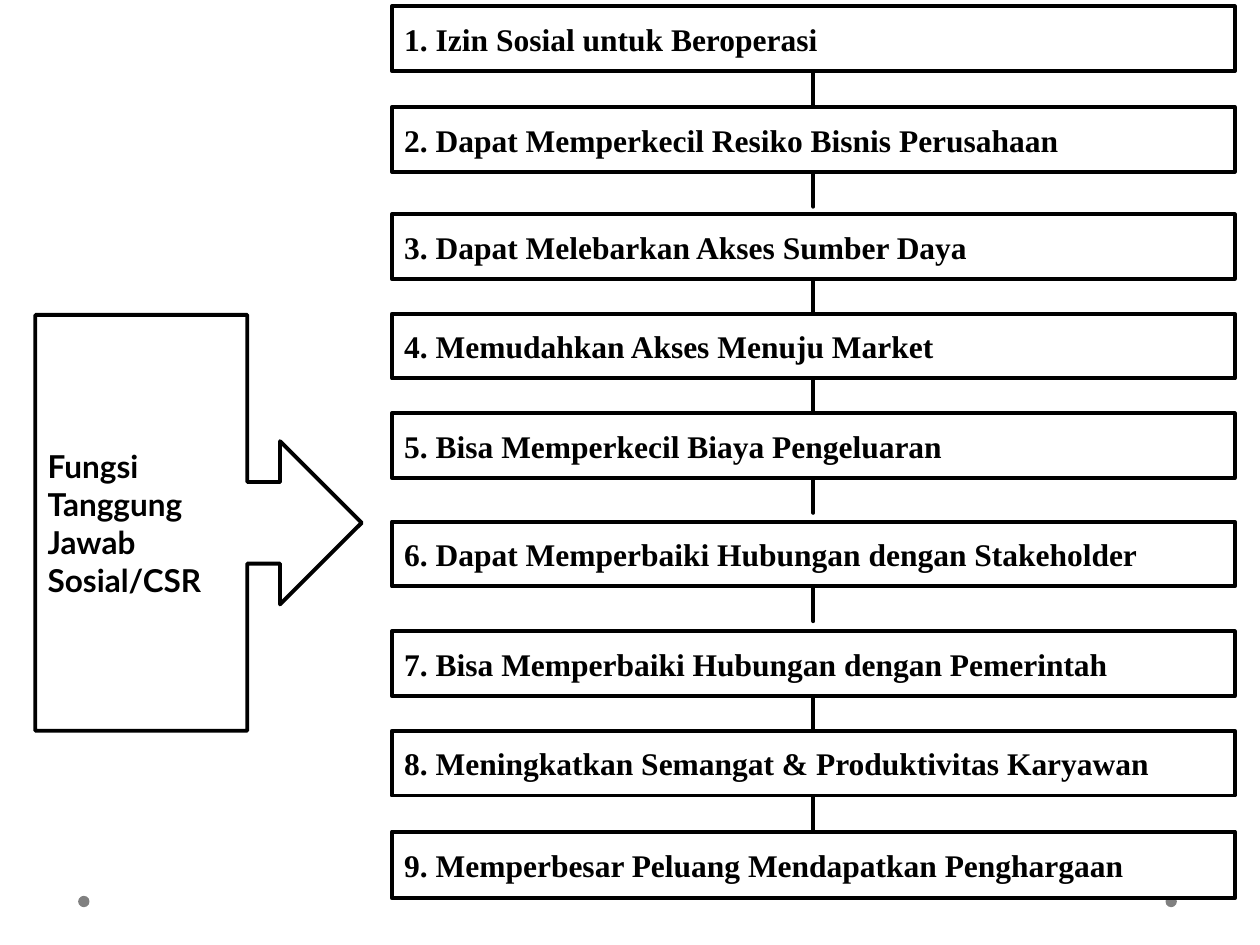
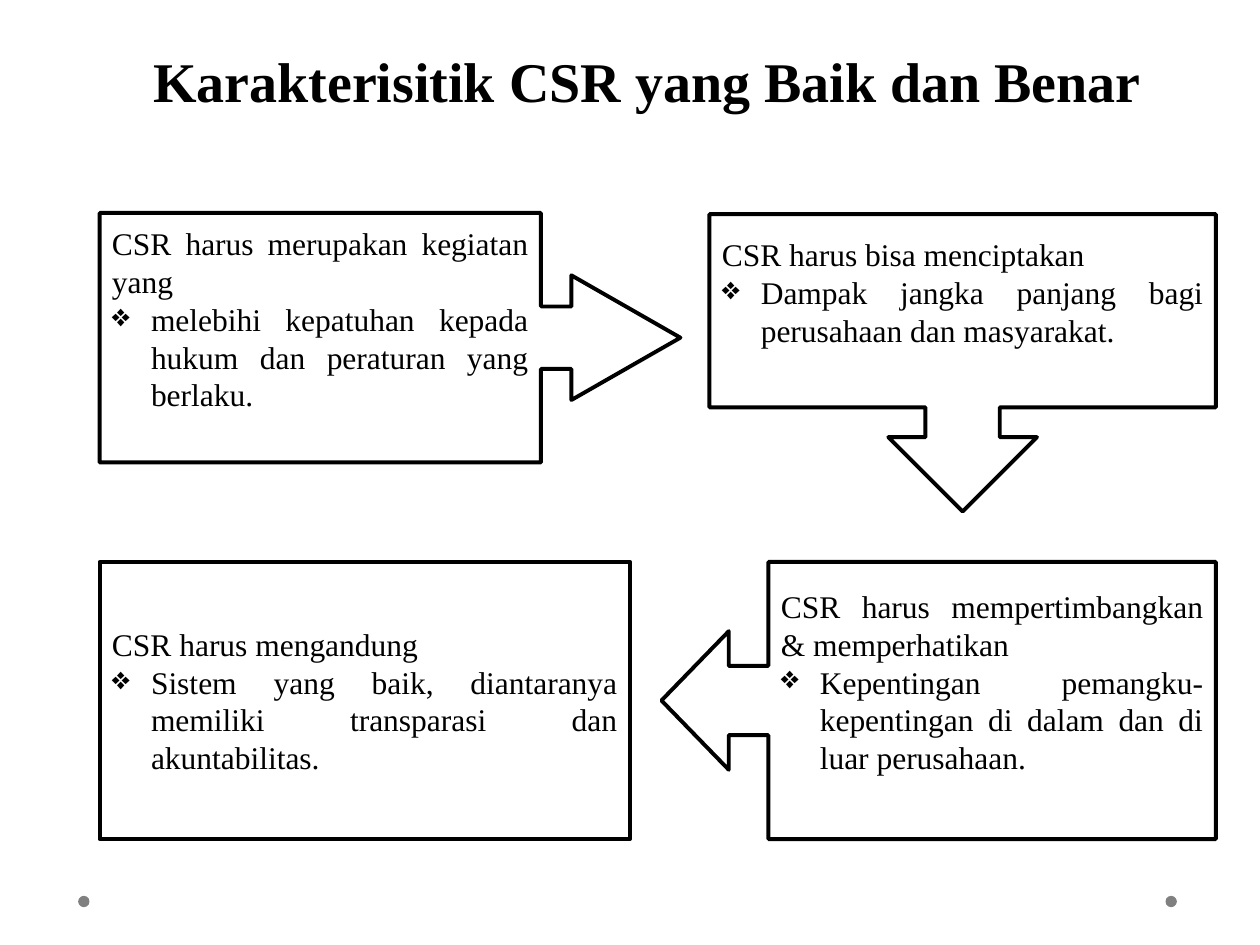
from lxml import etree
from pptx import Presentation
from pptx.dml.color import RGBColor
from pptx.enum.shapes import MSO_SHAPE
from pptx.enum.text import MSO_ANCHOR, PP_ALIGN
from pptx.oxml.ns import qn
from pptx.util import Inches, Pt

COLORS = {"ink": "000000", "paper": "FFFFFF", "dot": "808080"}
SERIF, SANS = "Times New Roman", "Lato"
COLS, ROWS = 100, 75  # grid over the whole slide
TITLE_ONLY, BLANK = 5, 6  # layouts

FUNCTIONS = [  # row of the box's top, label
    (0.5, "Izin Sosial untuk Beroperasi"),
    (8.5, "Dapat Memperkecil Resiko Bisnis Perusahaan"),
    (17, "Dapat Melebarkan Akses Sumber Daya"),
    (24.9, "Memudahkan Akses Menuju Market"),
    (32.8, "Bisa Memperkecil Biaya Pengeluaran"),
    (41.4, "Dapat Memperbaiki Hubungan dengan Stakeholder"),
    (50.1, "Bisa Memperbaiki Hubungan dengan Pemerintah"),
    (58, "Meningkatkan Semangat & Produktivitas Karyawan"),
    (66, "Memperbesar Peluang Mendapatkan Penghargaan"),
]

TRAITS = [  # shape, grid cell, adjustments, lead, bullet, bottom inset
    (MSO_SHAPE.RIGHT_ARROW_CALLOUT, (7.9, 16.9, 46.1, 19.8), (0.25, 0.25, 0.437, 0.76),
     "CSR harus merupakan kegiatan yang",
     "melebihi kepatuhan kepada hukum dan peraturan yang berlaku.", 0.35),
    (MSO_SHAPE.DOWN_ARROW_CALLOUT, (56.3, 17, 40.2, 23.6), (),
     "CSR harus bisa menciptakan",
     "Dampak jangka panjang bagi perusahaan dan masyarakat.", 0.35),
    (MSO_SHAPE.LEFT_ARROW_CALLOUT, (52.5, 44.6, 44, 22), (0.25, 0.25, 0.243, 0.807),
     "CSR harus mempertimbangkan & memperhatikan",
     "Kepentingan pemangku-kepentingan di dalam dan di luar perusahaan.", 0.35),
    (MSO_SHAPE.RECTANGLE, (7.9, 44.6, 42.1, 22), (),
     "CSR harus mengandung",
     "Sistem yang baik, diantaranya memiliki transparasi dan akuntabilitas.", 0.05),
]


def color(name):
    return RGBColor.from_string(COLORS[name])


def place(prs, col, row, cols, rows):
    """Turn a grid cell into left, top, width, height."""
    x, y = prs.slide_width / COLS, prs.slide_height / ROWS
    return [round(v) for v in (col * x, row * y, cols * x, rows * y)]


def add_run(p, text, font=SERIF, size=18, bold=False):
    r = p.add_run()
    r.text = text
    r.font.name, r.font.size, r.font.bold = font, Pt(size), bold
    r.font.color.rgb = color("ink")


def add_bullet(p, indent=0.31):
    pPr = p._p.get_or_add_pPr()
    pPr.set("marL", str(Inches(indent)))
    pPr.set("indent", str(-Inches(indent)))
    etree.SubElement(pPr, qn("a:buChar")).set("char", "❖")


def add_box(prs, s, kind, cell, adjustments=()):
    """Add an outlined box and return its text frame."""
    sp = s.shapes.add_shape(kind, *place(prs, *cell))
    sp.shadow.inherit = False
    sp.fill.solid()
    sp.fill.fore_color.rgb = color("paper")
    sp.line.color.rgb = color("ink")
    sp.line.width = Pt(2.25)
    for i, value in enumerate(adjustments):
        sp.adjustments[i] = value
    tf = sp.text_frame
    tf.word_wrap = True
    tf.vertical_anchor = MSO_ANCHOR.MIDDLE
    return tf


def add_label(tf, text, align=PP_ALIGN.LEFT, font=SERIF):
    p = tf.paragraphs[0]
    p.alignment = align
    add_run(p, text, font, bold=True)


def add_master_dots(prs, s):
    """Draw the two footer dots and move them to the master."""
    for col in (92.5, 6.2):
        dot = s.shapes.add_shape(MSO_SHAPE.OVAL, *place(prs, col, 71.1, 0.9, 0.9))
        dot.shadow.inherit = False
        dot.fill.solid()
        dot.fill.fore_color.rgb = color("dot")
        dot.line.fill.background()
        prs.slide_master.shapes._spTree.append(dot._element)


def add_title(prs, s, text):
    sp = s.shapes.title
    sp.left, sp.top, sp.width, sp.height = place(prs, 2.8, 3.7, 97.2, 12.5)
    tf = sp.text_frame
    tf.vertical_anchor = MSO_ANCHOR.TOP
    tf.margin_top = 0
    p = tf.paragraphs[0]
    p.alignment = PP_ALIGN.CENTER
    add_run(p, text, size=32, bold=True)


def add_functions(prs, s):
    tf = add_box(prs, s, MSO_SHAPE.RIGHT_ARROW_CALLOUT, (2.8, 25, 25.9, 33))
    add_label(tf, "Fungsi Tanggung Jawab Sosial/CSR", PP_ALIGN.JUSTIFY, SANS)
    for number, (row, text) in enumerate(FUNCTIONS, 1):
        if number < len(FUNCTIONS):  # the stem leads to the next box
            tf = add_box(prs, s, MSO_SHAPE.DOWN_ARROW_CALLOUT,
                         (31.1, row, 66.9, 7.9), (0.25, 0, 0.25, 0.65))
        else:
            tf = add_box(prs, s, MSO_SHAPE.RECTANGLE, (31.1, row, 66.9, 5.3))
        add_label(tf, f"{number}. {text}")


def add_traits(prs, s):
    for kind, cell, adjustments, lead, bullet, inset in TRAITS:
        tf = add_box(prs, s, kind, cell, adjustments)
        tf.margin_bottom = Inches(inset)
        p = tf.paragraphs[0]
        p.alignment = PP_ALIGN.JUSTIFY
        add_run(p, lead)
        p = tf.add_paragraph()
        p.alignment = PP_ALIGN.JUSTIFY
        add_bullet(p)
        add_run(p, bullet)


def main():
    prs = Presentation()
    prs.slide_width, prs.slide_height = Inches(10), Inches(7.5)

    # Functions of CSR
    s = prs.slides.add_slide(prs.slide_layouts[BLANK])
    add_master_dots(prs, s)
    add_functions(prs, s)

    # Traits of good CSR
    s = prs.slides.add_slide(prs.slide_layouts[TITLE_ONLY])
    add_title(prs, s, "Karakterisitik CSR yang Baik dan Benar")
    add_traits(prs, s)

    prs.save("out.pptx")


if __name__ == "__main__":
    main()
